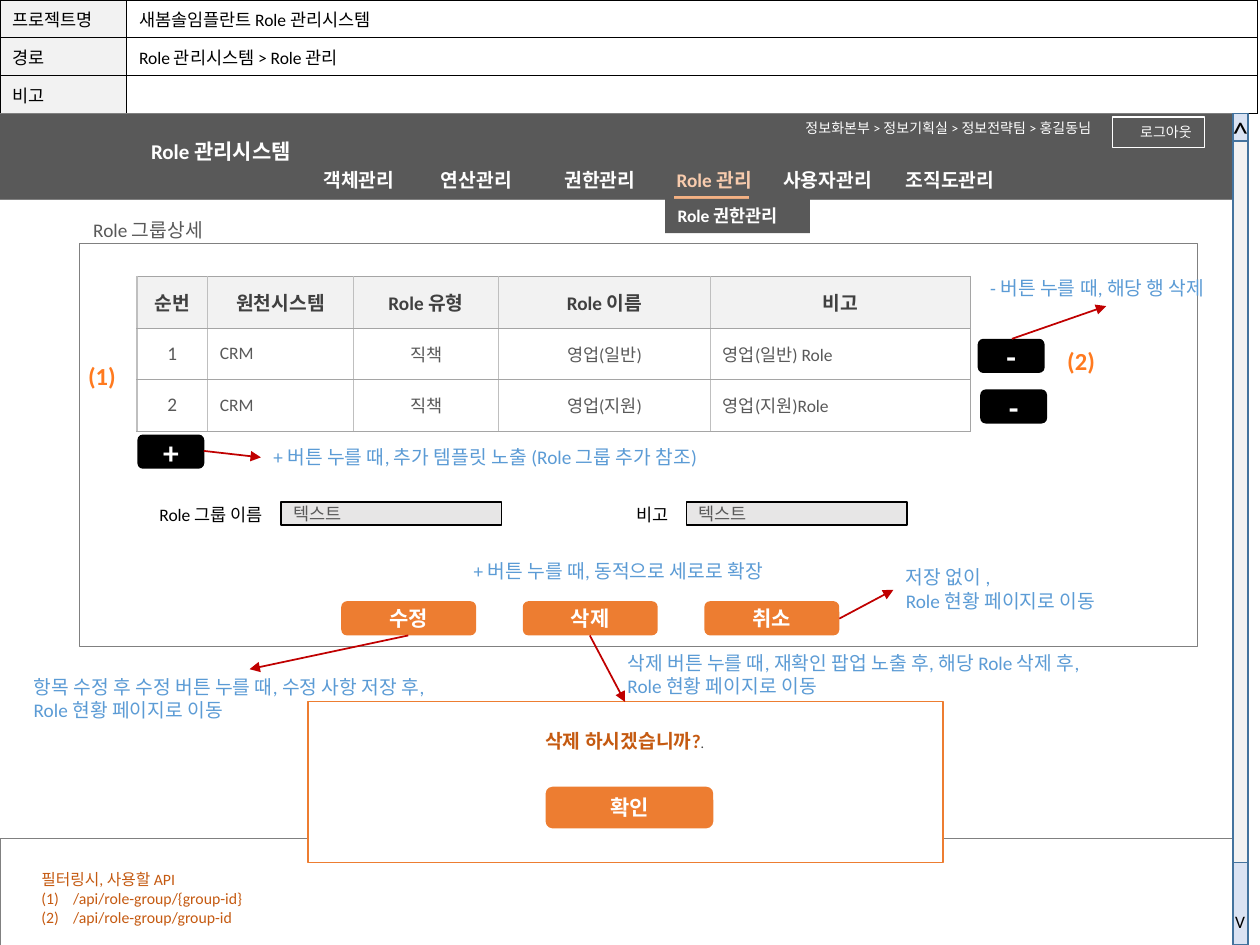
from lxml.etree import SubElement
from pptx import Presentation
from pptx.dml.color import RGBColor
from pptx.enum.shapes import MSO_CONNECTOR, MSO_SHAPE
from pptx.enum.text import MSO_ANCHOR, MSO_AUTO_SIZE, PP_ALIGN
from pptx.oxml.ns import qn
from pptx.util import Cm, Pt

BLACK = RGBColor(0, 0, 0)
WHITE = RGBColor(255, 255, 255)
DARK = RGBColor(0x59, 0x59, 0x59)
INK = RGBColor(0x40, 0x40, 0x40)
GRAY = RGBColor(0x80, 0x80, 0x80)
MID = RGBColor(0xA5, 0xA5, 0xA5)
SILVER = RGBColor(0xBF, 0xBF, 0xBF)
PALE = RGBColor(0xF2, 0xF2, 0xF2)
FIELD = RGBColor(0xE7, 0xE6, 0xE6)
BLUE = RGBColor(0x5B, 0x9B, 0xD5)
TRACK = RGBColor(0xDA, 0xE3, 0xF3)
NAVY = RGBColor(0x43, 0x73, 0x9E)
ORANGE = RGBColor(0xED, 0x7D, 0x31)
RUST = RGBColor(0xC5, 0x5A, 0x11)
PEACH = RGBColor(0xF8, 0xCB, 0xAD)
SAND = RGBColor(0xF4, 0xB1, 0x83)
MARK = RGBColor(0xFF, 0x7A, 0x1F)
RED = RGBColor(0xC0, 0, 0)

LEFT, CENTER, RIGHT = PP_ALIGN.LEFT, PP_ALIGN.CENTER, PP_ALIGN.RIGHT
TOP, MIDDLE = MSO_ANCHOR.TOP, MSO_ANCHOR.MIDDLE


def spot(box, x, y, w, h):
    return Cm(box[0] + x), Cm(box[1] + y), Cm(w), Cm(h)


def write(frame, words, size, color, bold=False, align=LEFT):
    frame.text = words
    for line in frame.paragraphs:
        line.alignment = align
        line.space_before = Pt(0)
        for run in line.runs:
            font = run.font
            font.name, font.size, font.bold = "Calibri", Pt(size), bold
            font.color.rgb = color
        if not line.runs:
            SubElement(line._p, qn("a:endParaRPr"), sz=str(size * 100))


def label(slide, place, words, size, color, bold=False, align=LEFT, wrap=False):
    frame = slide.shapes.add_textbox(*place).text_frame
    frame.word_wrap = wrap
    write(frame, words, size, color, bold, align)
    return frame


def block(slide, place, fill=None, edge=None, width=1, kind=MSO_SHAPE.RECTANGLE):
    shape = slide.shapes.add_shape(kind, *place)
    shape.shadow.inherit = False
    if fill is None:
        shape.fill.background()
    else:
        shape.fill.solid()
        shape.fill.fore_color.rgb = fill
    if edge is None:
        shape.line.fill.background()
    else:
        shape.line.color.rgb = edge
        shape.line.width = Pt(width)
    shape.text_frame.vertical_anchor = MIDDLE
    return shape


def button(slide, place, words, fill=ORANGE, size=12):
    shape = block(slide, place, fill, kind=MSO_SHAPE.ROUNDED_RECTANGLE)
    write(shape.text_frame, words, size, WHITE, True, CENTER)


def stroke(slide, box, start, end, color=RED, width=1, head=True):
    ends = [Cm(box[i] + point[i]) for point in (start, end) for i in (0, 1)]
    line = slide.shapes.add_connector(MSO_CONNECTOR.STRAIGHT, *ends)
    line.line.color.rgb = color
    line.line.width = Pt(width)
    props = line._element.spPr
    if head:
        SubElement(props.find(qn("a:ln")), qn("a:tailEnd"), type="triangle")
    SubElement(props, qn("a:effectLst"))


def paint(cell, fill, sides):
    props = cell._tc.get_or_add_tcPr()
    for side, (color, width) in zip("LRTB", sides):
        edge = SubElement(props, qn("a:ln" + side), w=str(Pt(width)))
        solid = SubElement(edge, qn("a:solidFill"))
        SubElement(solid, qn("a:srgbClr"), val=str(color))
    if fill is None:
        cell.fill.background()
    else:
        cell.fill.solid()
        cell.fill.fore_color.rgb = fill
    cell.vertical_anchor = MIDDLE


def grid(slide, place, rows, widths, height):
    table = slide.shapes.add_table(len(rows), len(widths), *place).table
    for column, width in zip(table.columns, widths):
        column.width = Cm(width)
    for row in table.rows:
        row.height = Cm(height)
    return table


def info(slide, box):
    rows = [("프로젝트명", "새봄솔임플란트 Role 관리시스템"),
            ("경로", "Role 관리시스템 > Role 관리"), ("비고", "")]
    table = grid(slide, spot(box, 0, 0, *box[2:]), rows, (2.55, box[2] - 2.55), box[3] / 3)
    for r, row in enumerate(rows):
        for c, words in enumerate(row):
            cell = table.cell(r, c)
            paint(cell, WHITE if c else PALE, [(BLACK, 0.5)] * 4)
            write(cell.text_frame, words, 10, BLACK)


def header(slide, box):
    block(slide, spot(box, -0.05, 0, box[2] + 0.05, box[3]), DARK, GRAY, 0.25)
    title = slide.shapes.title
    title._element.getparent().append(title._element)
    title.left, title.top, title.width, title.height = spot(box, 2.79, 0.38, 3.9, 0.76)
    frame = title.text_frame
    frame.word_wrap, frame.vertical_anchor = False, TOP
    frame.auto_size = MSO_AUTO_SIZE.NONE
    write(frame, "Role 관리시스템", 12, WHITE, True)
    exit_box = block(slide, spot(box, 22.43, 0.07, 1.85, 0.61), None, WHITE, 0.75)
    write(exit_box.text_frame, "로그아웃", 8, WHITE, align=RIGHT)
    label(slide, spot(box, 14.86, 0, 7.39, 0.61),
          "정보화본부 > 정보기획실 > 정보전략팀 > 홍길동님", 8, WHITE, align=RIGHT, wrap=True)
    menu = [(6.27, "객체관리"), (8.64, "연산관리"), (11.13, "권한관리"),
            (13.39, "Role 관리"), (15.54, "사용자관리"), (18.01, "조직도관리")]
    for x, words in menu:
        color = PEACH if words == "Role 관리" else WHITE
        label(slide, spot(box, x, 0.97, 2.6, 0.74), words, 11, color, True)
    stroke(slide, box, (13.59, 1.7), (15.09, 1.7), SAND, 2.5, False)
    drop = block(slide, spot(box, 13.41, 1.72, 2.92, 0.69), DARK)
    write(drop.text_frame, "Role 권한관리", 10, WHITE, True)


def scroll(slide, box):
    block(slide, spot(box, 0, 0, *box[2:]), TRACK, NAVY)
    block(slide, spot(box, 0, 0.55, box[2], 14.55), PALE, NAVY)
    label(slide, spot(box, -0.26, -0.13, 0.84, 1.02), "^", 18, BLACK)
    label(slide, spot(box, -0.21, 15.95, 0.71, 0.69), "V", 10, BLACK)


def roles(slide, box):
    rows = [("순번", "원천시스템", "Role 유형", "Role 이름", "비고"),
            ("1", "CRM", "직책", "영업(일반)", "영업(일반) Role"),
            ("2", "CRM", "직책", "영업(지원)", "영업(지원)Role")]
    table = grid(slide, spot(box, 0, 0, *box[2:]), rows, (1.42, 2.95, 2.92, 4.27, 5.25), box[3] / 3)
    side, rule = (SILVER, 1), (MID, 0.5)
    for r, row in enumerate(rows):
        for c, words in enumerate(row):
            cell = table.cell(r, c)
            paint(cell, None if r else PALE, (side, rule if c == 4 else side, rule, rule))
            align = LEFT if r and c in (1, 4) else CENTER
            size = 10 if r and c else 11
            write(cell.text_frame, words, size, DARK if r else INK, r == 0, align)


def panel(slide, box):
    block(slide, spot(box, 0, 0, *box[2:]), None, GRAY, 0.25)
    label(slide, spot(box, 0.03, -0.63, 3.1, 0.74), "Role 그룹상세", 11, DARK)
    roles(slide, (box[0] + 1.16, box[1] + 0.67, 16.81, 3.12))
    for x, y, sign in ((1.17, 3.86, "+"), (18.11, 1.93, "-"), (18.16, 2.95, "-")):
        button(slide, spot(box, x, y, 1.35, 0.69), sign, BLACK, 18)
    for x, words in ((4.06, "Role 그룹 이름"), (12.24, "비고")):
        label(slide, spot(box, x - 3.3, 5.13, 3.18, 0.69), words, 10, BLACK, align=RIGHT, wrap=True)
        entry = block(slide, spot(box, x, 5.22, 4.45, 0.46), FIELD, BLACK)
        write(entry.text_frame, "텍스트", 10, DARK)
    for i, words in enumerate(("수정", "삭제", "취소")):
        button(slide, spot(box, 5.28 + 3.66 * i, 7.22, 2.72, 0.69), words)
    for x, y, words in ((-0.18, 2.26, "(1)"), (19.56, 1.96, "(2)")):
        label(slide, spot(box, x, y, 1.27, 0.86), words, 14, MARK, True, CENTER, True)


def notes(slide, box):
    move = "\nRole 현황 페이지로 이동"
    for x, y, w, h, wrap, words in (
            (3.66, 3.96, 9.6, 0.74, True, "+ 버튼 누를 때, 추가 템플릿 노출 (Role 그룹 추가 참조)"),
            (18.11, 0.54, 4.9, 0.74, True, "- 버튼 누를 때, 해당 행 삭제"),
            (7.7, 6.25, 7, 0.74, False, "+ 버튼 누를 때, 동적으로 세로로 확장"),
            (-1.17, 8.59, 9.4, 1.19, False, "항목 수정 후 수정 버튼 누를 때, 수정 사항 저장 후," + move),
            (10.8, 8.1, 10.6, 1.19, False,
             "삭제 버튼 누를 때, 재확인 팝업 노출 후, 해당 Role 삭제 후," + move),
            (16.41, 6.38, 5, 1.19, False, "저장 없이 ," + move)):
        label(slide, spot(box, x, y, w, h), words, 11, BLUE, wrap=wrap)
    for start, end in (((2.51, 4.19), (3.66, 4.32)), ((18.8, 1.93), (20.7, 1.27)),
                       ((10.29, 7.91), (11, 9.25)), ((6.63, 7.91), (3.43, 8.59)),
                       ((15.32, 7.57), (16.41, 6.99))):
        stroke(slide, box, start, end)


def popup(slide, box):
    block(slide, spot(box, 0, 0, *box[2:]), WHITE, ORANGE)
    frame = label(slide, spot(box, 4.29, 0.44, 4.19, 0.74), "삭제 하시겠습니까?", 11, RUST, True, CENTER)
    dot = frame.paragraphs[0].add_run()
    dot.text = "."
    dot.font.name, dot.font.size, dot.font.bold = "Calibri", Pt(8), False
    dot.font.color.rgb = INK
    button(slide, spot(box, 4.79, 1.72, 3.38, 0.84), "확인")


def calls(slide, box):
    body = slide.placeholders[1]
    body._element.getparent().append(body._element)
    body.left, body.top, body.width, body.height = spot(box, 0, 0, *box[2:])
    body.fill.solid()
    body.fill.fore_color.rgb = WHITE
    frame = body.text_frame
    frame.auto_size = MSO_AUTO_SIZE.NONE
    write(frame, "필터링시, 사용할 API\n/api/role-group/{group-id}\n/api/role-group/group-id", 9, RUST)
    for i, line in enumerate(frame.paragraphs):
        props = line._p.get_or_add_pPr()
        props.set("marL", str(Cm(0.64) if i else 0))
        props.set("indent", str(-Cm(0.64) if i else 0))
        if i:
            SubElement(props, qn("a:buAutoNum"), type="arabicParenBoth")
        else:
            SubElement(props, qn("a:buNone"))


def main():
    deck = Presentation()
    deck.slide_width, deck.slide_height = Cm(25.4), Cm(19.05)
    slide = deck.slides.add_slide(deck.slide_layouts[1])
    info(slide, (0, 0, 25.35, 2.28))
    header(slide, (0, 2.29, 24.87, 1.73))
    block(slide, spot((0, 16.89), 0, 0, 24.87, 2.16), None, GRAY, 0.25)
    scroll(slide, (24.86, 2.29, 0.3, 16.76))
    area = (1.6, 4.9, 22.53, 8.13)
    panel(slide, area)
    popup(slide, (6.21, 14.14, 12.8, 3.25))
    notes(slide, area)
    calls(slide, (0.58, 17.4, 10.16, 1.4))
    deck.save("out.pptx")


if __name__ == "__main__":
    main()
